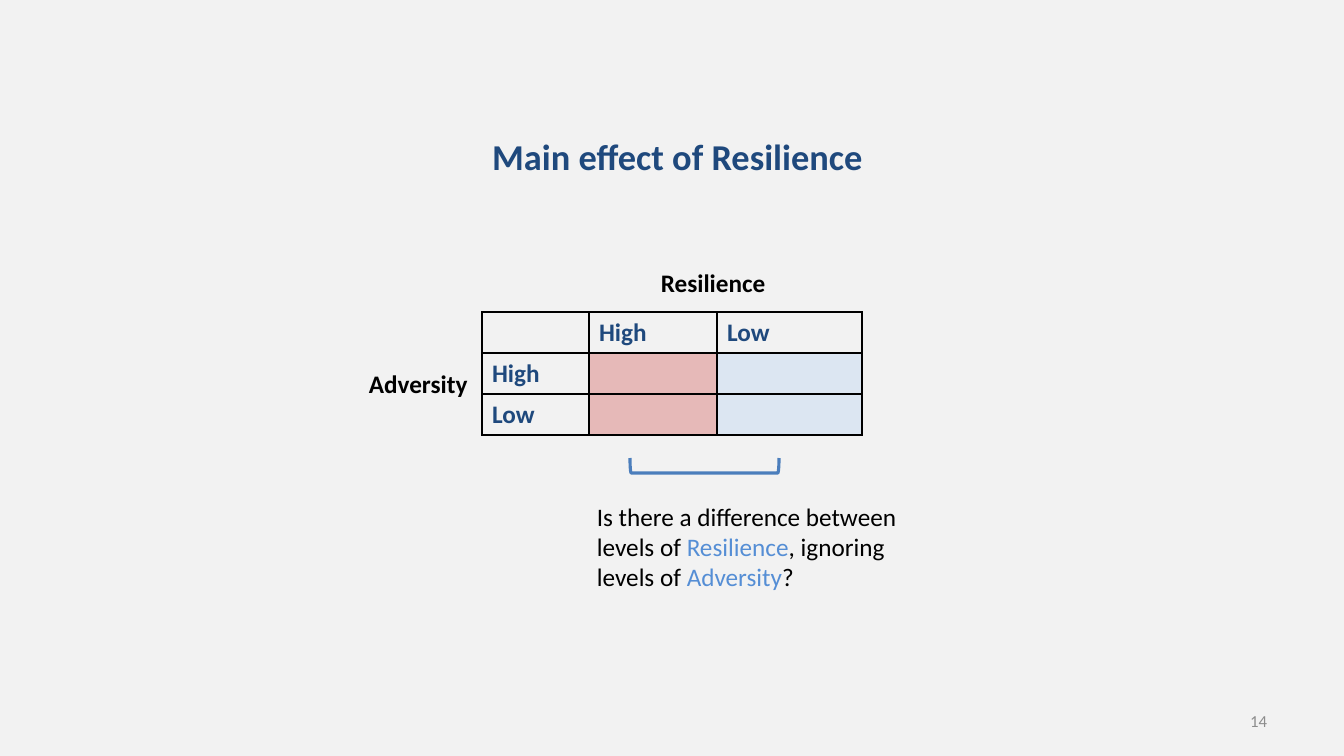
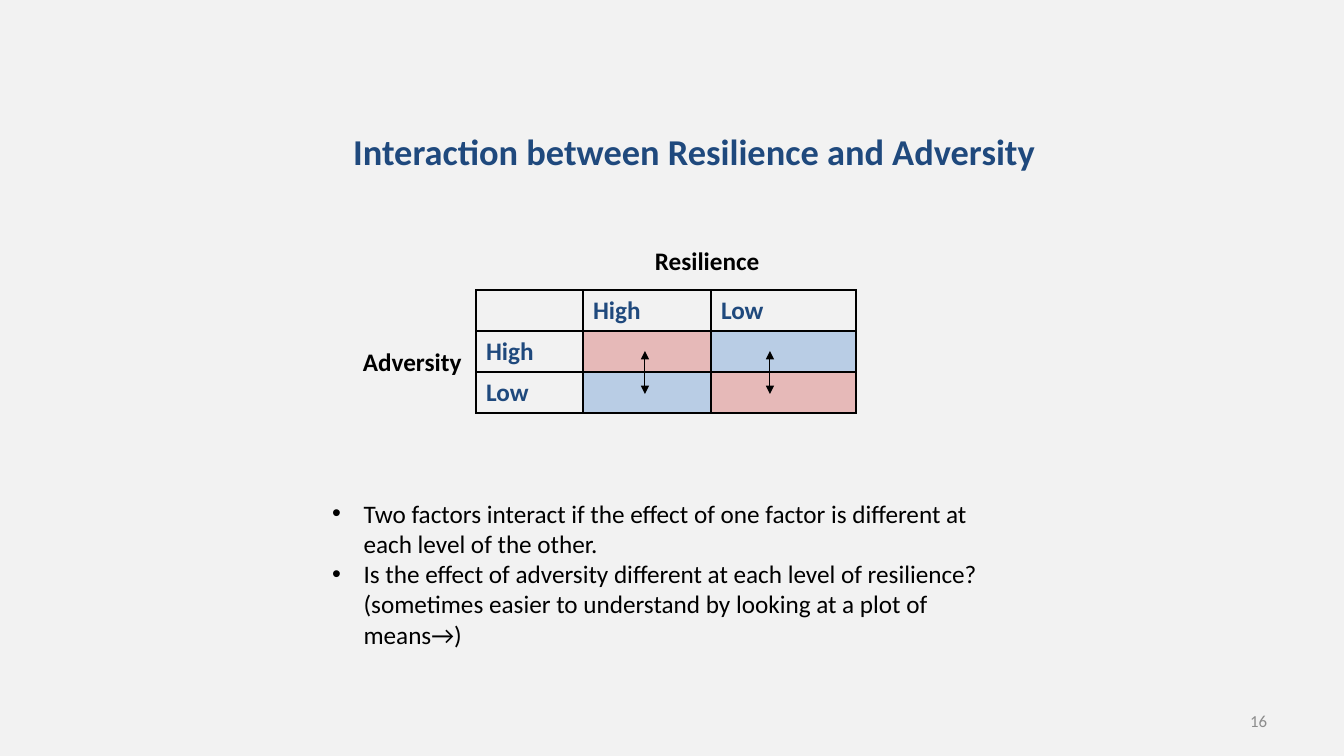
import copy
import lxml.etree
import pptx
import pptx.dml.color
import pptx.enum.shapes
import pptx.enum.text
import pptx.oxml
import pptx.oxml.ns
import pptx.util


class Theme:
    font = "Calibri"
    background = "F2F2F2"
    ink = "000000"
    navy = "1F497D"
    accent = "558ED5"
    bracket = "4B7EBC"
    number = "8C8C8C"
    rose = "E6B9B8"
    pale = "DCE6F2"
    blue = "B9CDE5"
    title_size = 26
    text_size = 18
    number_size = 12


rgb = pptx.dml.color.RGBColor.from_string
qn = pptx.oxml.ns.qn
Align = pptx.enum.text.PP_ALIGN
Anchor = pptx.enum.text.MSO_ANCHOR
Fit = pptx.enum.text.MSO_AUTO_SIZE


def px(*lengths):
    return [pptx.util.Emu(round(length * 12192000 / 1344)) for length in lengths]


def write(frame, paragraphs, size=Theme.text_size, color=Theme.ink, bold=False, align=Align.LEFT, **frame_format):
    for key, value in frame_format.items():
        setattr(frame, key, value)
    for index, pieces in enumerate(paragraphs):
        paragraph = frame.paragraphs[0] if index == 0 else frame.add_paragraph()
        for key, value in {"alignment": align, "space_before": pptx.util.Pt(0)}.items():
            setattr(paragraph, key, value)
        for text, piece_color in pieces:
            if text == "\n":
                paragraph.add_line_break()
                continue
            run = paragraph.add_run()
            run.text = text
            font_format = {"name": Theme.font, "size": pptx.util.Pt(size), "bold": bold}
            for key, value in font_format.items():
                setattr(run.font, key, value)
            run.font.color.rgb = rgb(piece_color or color)
        for line_break in paragraph._p.findall(qn("a:br")):
            line_break.append(copy.deepcopy(paragraph.runs[0]._r.rPr))


prs = pptx.Presentation()
prs.slide_width, prs.slide_height = px(1344, 756)
prs.slide_master.background.fill.solid()
prs.slide_master.background.fill.fore_color.rgb = rgb(Theme.background)

designs = [
    {"layout": 5, "number": "14", "title": "Main effect of Resilience",
     "title_box": (482, 129, 396, 54), "table_at": (482, 312),
     "fills": [(Theme.rose, Theme.pale), (Theme.rose, Theme.pale)]},
    {"layout": 1, "number": "16", "title": "Interaction between Resilience and Adversity",
     "title_box": (343, 124, 710, 54), "table_at": (476, 290),
     "fills": [(Theme.rose, Theme.blue), (Theme.blue, Theme.rose)]},
]
column_widths = px(107, 128, 145)
row_height = 41
levels = ["High", "Low"]

for design in designs:
    slide = prs.slides.add_slide(prs.slide_layouts[design["layout"]])
    left, top = design["table_at"]

    title = slide.shapes.title
    title.left, title.top, title.width, title.height = px(*design["title_box"])
    write(title.text_frame, [[(design["title"], None)]], size=Theme.title_size, color=Theme.navy, bold=True,
          word_wrap=False, vertical_anchor=Anchor.TOP, auto_size=Fit.SHAPE_TO_FIT_TEXT)

    number = slide.shapes.add_textbox(*px(964, 701, 313, 40))
    write(number.text_frame, [[(design["number"], None)]], size=Theme.number_size, color=Theme.number,
          align=Align.RIGHT, word_wrap=True, vertical_anchor=Anchor.MIDDLE)

    design_table = slide.shapes.add_table(3, 3, *px(left, top, 380, 3 * row_height)).table
    for key in ("first_row", "horz_banding"):
        setattr(design_table, key, False)
    for column, width in zip(design_table.columns, column_widths):
        column.width = width
    for row in design_table.rows:
        row.height = px(row_height)[0]
    for row in range(3):
        for column in range(3):
            cell = design_table.cell(row, column)
            borders = cell._tc.get_or_add_tcPr()
            for side in ("a:lnL", "a:lnR", "a:lnT", "a:lnB"):
                border = lxml.etree.SubElement(borders, qn(side), w="12700")
                ink = lxml.etree.SubElement(border, qn("a:solidFill"))
                lxml.etree.SubElement(ink, qn("a:srgbClr"), val=Theme.ink)
            if row and column:
                cell.fill.solid()
                cell.fill.fore_color.rgb = rgb(design["fills"][row - 1][column - 1])
            else:
                cell.fill.background()
                if row or column:
                    write(cell.text_frame, [[(levels[row + column - 1], None)]], color=Theme.navy, bold=True)

    for factor, x, y, width in [("Resilience", 169, -50, 125), ("Adversity", -123, 51, 120)]:
        label = slide.shapes.add_textbox(*px(left + x, top + y, width, 40))
        write(label.text_frame, [[(factor, None)]], bold=True,
              word_wrap=False, auto_size=Fit.SHAPE_TO_FIT_TEXT)

main_effect, interaction = prs.slides

bracket = main_effect.shapes.add_shape(pptx.enum.shapes.MSO_SHAPE.LEFT_BRACKET, *px(697, 391, 15, 149))
bracket.rotation = 270
bracket.shadow.inherit = False
bracket.fill.background()
bracket.line.color.rgb = rgb(Theme.bracket)
bracket.line.width = pptx.util.Pt(2.25)

question = main_effect.shapes.add_textbox(*px(587, 496, 348, 102))
write(question.text_frame, [[
    ("Is there a difference between levels of ", None), ("Resilience", Theme.accent),
    (", ignoring levels of ", None), ("Adversity", Theme.accent), ("?", None),
]], word_wrap=True, auto_size=Fit.SHAPE_TO_FIT_TEXT)

explanation = interaction.placeholders[1]
explanation.left, explanation.top, explanation.width, explanation.height = px(322, 493, 700, 163)
write(explanation.text_frame, [
    [("Two factors interact if the effect of one factor is different at each level of the other.", None)],
    [("Is the effect of adversity different at each level of resilience?", None), ("\n", None),
     ("(sometimes easier to understand by looking at a plot of means→)", None)],
], word_wrap=True, auto_size=Fit.SHAPE_TO_FIT_TEXT)
for paragraph in explanation.text_frame.paragraphs:
    for key, value in {"marL": "285750", "indent": "-285750"}.items():
        paragraph._p.get_or_add_pPr().set(key, value)

for x in (645, 770):
    comparison = interaction.shapes.add_connector(
        pptx.enum.shapes.MSO_CONNECTOR.STRAIGHT, *px(x, 351, x, 394))
    comparison.line.color.rgb = rgb(Theme.ink)
    comparison.line.width = pptx.util.Pt(0.75)
    for end in ("a:headEnd", "a:tailEnd"):
        lxml.etree.SubElement(comparison.line._get_or_add_ln(), qn(end), type="triangle")
    lxml.etree.SubElement(comparison._element.spPr, qn("a:effectLst"))

prs.save("out.pptx")
